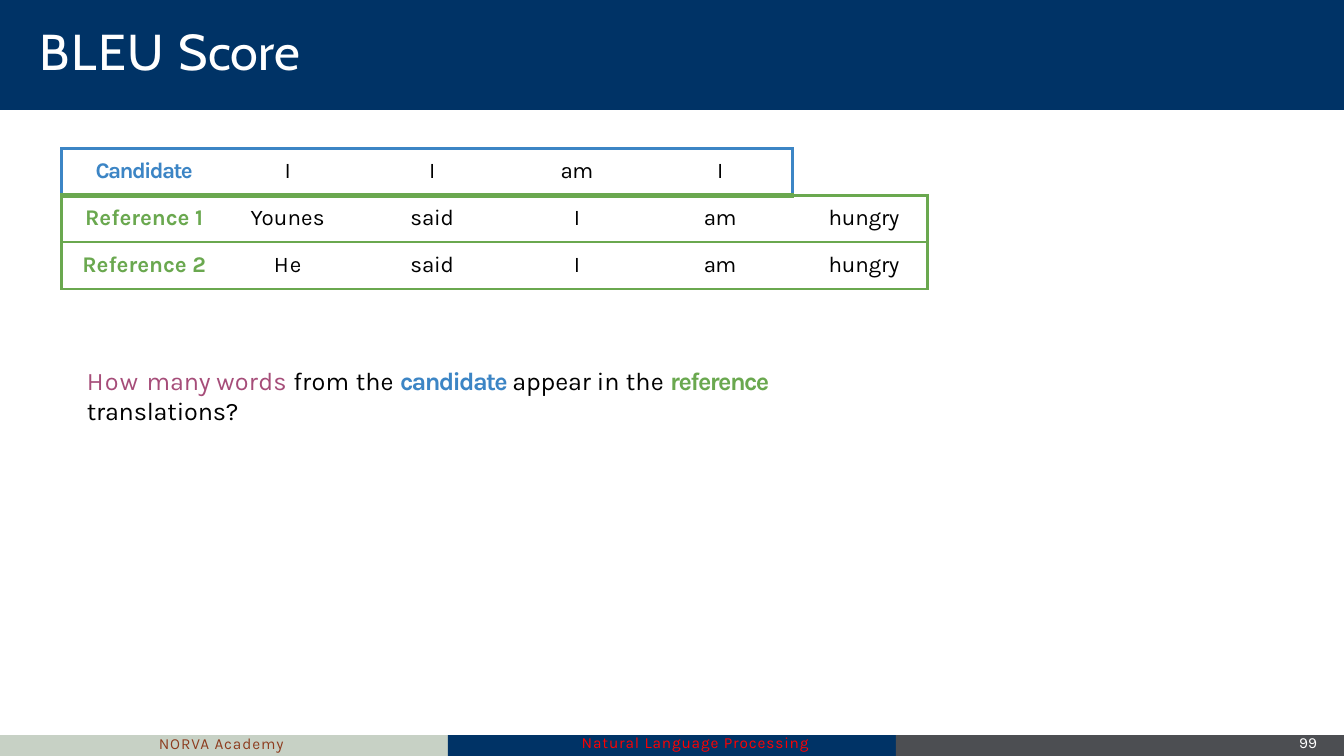
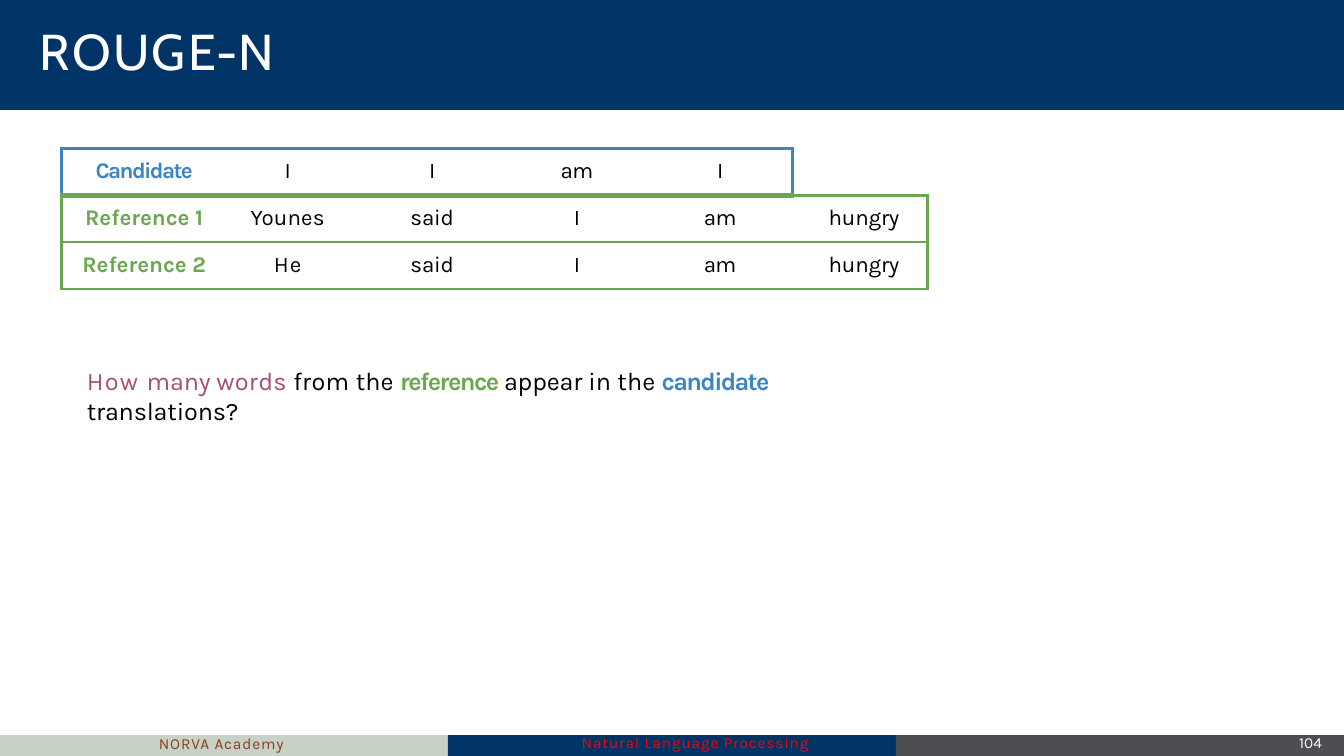
import pptx
import pptx.dml.color
import pptx.enum.shapes
import pptx.enum.text
import pptx.oxml
import pptx.oxml.ns
import pptx.util

Pt = pptx.util.Pt
ALIGN = pptx.enum.text.PP_ALIGN

COLORS = {
    "navy": "003366", "sage": "C7D1C5", "gray": "4C4E52", "white": "FFFFFF",
    "black": "000000", "red": "FF0000", "brown": "8D3C1E",
    "blue": "3C85C5", "green": "6AA84F", "plum": "A64D79",
}
TITLE_FONT, BODY_FONT = "Cabin", "Karla"
NAMESPACE = pptx.oxml.ns.nsdecls("a")


def write(frame, spans, size, font=BODY_FONT, margins=(0, 0, 0, 0), align=ALIGN.LEFT):
    """Fill a text frame or cell with (text, color, letter spacing, bold) spans."""
    frame.margin_left, frame.margin_top, frame.margin_right, frame.margin_bottom = map(Pt, margins)
    para = getattr(frame, "text_frame", frame).paragraphs[0]
    para.alignment = align
    for text, color, spacing, bold in spans:
        span = para.add_run()
        span.text = text
        span.font.name = font
        span.font.size = Pt(size)
        span.font.bold = bold
        span.font.color.rgb = pptx.dml.color.RGBColor.from_string(COLORS[color])
        span._r.get_or_add_rPr().set("spc", str(round(spacing * 100)))
    return para


def add_text(page, left, top, width, height, spans, size):
    box = page.shapes.add_textbox(Pt(left), Pt(top), Pt(width), Pt(height))
    box.text_frame.word_wrap = True
    return box, write(box.text_frame, spans, size)


CANDIDATE = ("candidate ", "blue", -1.2, True)
REFERENCE = ("reference ", "green", -1.1, True)
SLIDES = [
    ("99", [("BLEU ", 1.1), ("Score", 0.1)], CANDIDATE, REFERENCE),
    ("104", [("ROUG", 1.6), ("E-", 0.4), ("N", 2.6)], REFERENCE, CANDIDATE),
]
# Each word carries its letter spacing.
SENTENCES = [
    [("Candidate", -1.1), ("I", 0), ("I", 0), ("am", -0.4), ("I", 0)],
    [("Reference 1", 0), ("Younes", 0.1), ("said", -0.1), ("I", 0), ("am", -0.4), ("hungry", -0.1)],
    [("Reference 2", 0), ("He", 0.7), ("said", -0.1), ("I", 0), ("am", -0.5), ("hungry", -0.1)],
]
COLUMN_WIDTHS = [118, 101, 98.5, 101.5, 103, 96.5]
RIGHT_MARGINS = [0, 14, 7, 0, 0, 20]
ROW_HEIGHT = 33.5
LAST_COLUMN = len(COLUMN_WIDTHS) - 1
THIN, THICK = 2.25, 4.25

deck = pptx.Presentation()
deck.slide_width, deck.slide_height = Pt(960), Pt(540)
layout = deck.slide_layouts[5]
for holder in list(layout.placeholders):
    if holder.placeholder_format.idx != 0:
        holder.element.getparent().remove(holder.element)
pages = [deck.slides.add_slide(layout) for _ in SLIDES]

# Bands and footer labels are drawn once, then moved to the layout.
frame_shapes = []
for left, top, width, height, color in [
    (0, 0, 960, 78.5, "navy"),
    (0, 525, 320, 15, "sage"),
    (320, 525, 320, 15, "navy"),
    (640, 525, 320, 15, "gray"),
]:
    band = pages[0].shapes.add_shape(
        pptx.enum.shapes.MSO_SHAPE.RECTANGLE, Pt(left), Pt(top), Pt(width), Pt(height))
    band.shadow.inherit = False
    band.fill.solid()
    band.fill.fore_color.rgb = pptx.dml.color.RGBColor.from_string(COLORS[color])
    band.line.fill.background()
    frame_shapes.append(band)
for left, top, text, color in [
    (113.5, 532, "NORVA Academy", "brown"),
    (415.5, 531.4, "Natural Language Processing", "red"),
]:
    label, para = add_text(pages[0], left, top, 172, 7.2, [(text, color, 0.6, False)], 11)
    para.line_spacing = Pt(5.8)
    frame_shapes.append(label)
for shape in frame_shapes:
    layout.shapes.element.append(shape.element)

for page, (number, title_parts, source, target) in zip(pages, SLIDES):
    title = page.shapes.title
    title.left, title.top, title.width, title.height = Pt(28.5), Pt(13), Pt(880), Pt(45)
    title.text_frame.vertical_anchor = pptx.enum.text.MSO_ANCHOR.TOP
    title.text_frame.auto_size = pptx.enum.text.MSO_AUTO_SIZE.NONE
    write(title.text_frame, [(text, "white", spacing, False) for text, spacing in title_parts],
          36, TITLE_FONT, (0, 1, 0, 0))

    _, para = add_text(page, 928, 531.4, 30, 7.2, [(number, "white", 0, False)], 11)
    para.line_spacing = Pt(5.8)

    add_text(page, 62, 261, 590, 44, [
        ("How ", "plum", 0.9, False), ("many ", "plum", -0.1, False),
        ("words ", "plum", 0.2, False), ("from ", "black", 0.2, False),
        ("the ", "black", 0.1, False), source,
        ("appear ", "black", -0.1, False), ("in the ", "black", 0.1, False), target,
        ("translations?", "black", -0.1, False),
    ], 18)

    table = page.shapes.add_table(
        len(SENTENCES), len(COLUMN_WIDTHS), Pt(44), Pt(106),
        Pt(sum(COLUMN_WIDTHS)), Pt(ROW_HEIGHT * len(SENTENCES))).table
    table.first_row = table.horz_banding = False
    for column, width in zip(table.columns, COLUMN_WIDTHS):
        column.width = Pt(width)
    for row_index, words in enumerate(SENTENCES):
        table.rows[row_index].height = Pt(ROW_HEIGHT)
        row_color = "green" if row_index else "blue"
        for column_index in range(len(COLUMN_WIDTHS)):
            cell = table.cell(row_index, column_index)
            if column_index < len(words):
                word, spacing = words[column_index]
                heading = column_index == 0
                write(cell, [(word, row_color if heading else "black", spacing, heading)], 16,
                      margins=(0, 7, RIGHT_MARGINS[column_index], 0),
                      align=ALIGN.RIGHT if column_index == LAST_COLUMN else ALIGN.CENTER)

            # The first row ends one column early; neighbours agree on shared edges.
            vertical_edges = (0, len(words))
            borders = {
                "lnL": (row_color, THIN if column_index in vertical_edges else 0),
                "lnR": (row_color, THIN if column_index + 1 in vertical_edges else 0),
            }
            for tag, edge in (("lnT", row_index), ("lnB", row_index + 1)):
                inner = column_index < LAST_COLUMN
                if edge == 0:
                    borders[tag] = ("blue", THIN if inner else 0)
                else:
                    borders[tag] = ("green", THICK if edge == 1 and inner else THIN)
            properties = cell._tc.get_or_add_tcPr()
            for tag, (color, weight) in borders.items():
                paint = (f'<a:solidFill><a:srgbClr val="{COLORS[color]}"/></a:solidFill>'
                         if weight else "<a:noFill/>")
                properties.append(pptx.oxml.parse_xml(
                    f'<a:{tag} {NAMESPACE} w="{int(Pt(weight))}">{paint}</a:{tag}>'))
            cell.fill.background()

deck.save("out.pptx")
